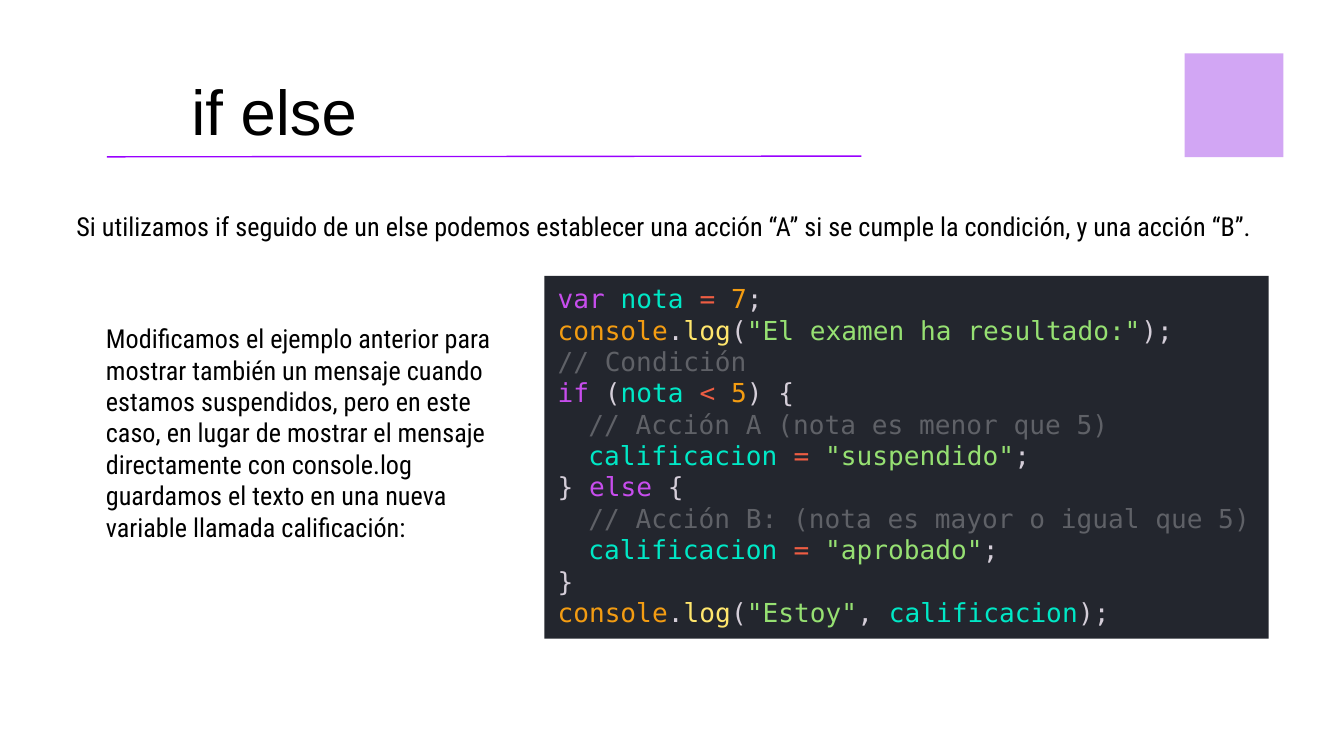
"""Builds the slide that explains if else with a code sample."""
from lxml import etree
from pptx import Presentation
from pptx import util as u
from pptx.dml.color import RGBColor
from pptx.enum import shapes, text
from pptx.oxml import ns

WIDE = u.Inches(10)
HIGH = u.Emu(WIDE * 9 // 16)
BODY, MONO = "Roboto Condensed", "DejaVu Sans Mono"

BLACK = RGBColor(0x00, 0x00, 0x00)
LILAC = RGBColor(0xD2, 0xA6, 0xF4)
VIOLET = RGBColor(0x99, 0x00, 0xFF)
NIGHT = RGBColor(0x23, 0x26, 0x2E)
KEY = RGBColor(0xC7, 0x4D, 0xED)
NAME = RGBColor(0x00, 0xE8, 0xC6)
SIGN = RGBColor(0xEE, 0x5D, 0x43)
GOLD = RGBColor(0xF3, 0x9C, 0x12)
PLAIN = RGBColor(0xD5, 0xCE, 0xD9)
CALL = RGBColor(0xFF, 0xE6, 0x6D)
QUOTE = RGBColor(0x96, 0xE0, 0x72)
NOTE = RGBColor(0x5F, 0x61, 0x67)

INTRO = ("Si utilizamos if seguido de un else podemos establecer una acción “A” "
         "si se cumple la condición, y una acción “B”.")
TASK = ("Modificamos el ejemplo anterior para mostrar también un mensaje cuando "
        "estamos suspendidos, pero en este caso, en lugar de mostrar el mensaje "
        "directamente con console.log guardamos el texto en una nueva variable "
        "llamada calificación:")

LOG = [("console", GOLD), (".", PLAIN), ("log", CALL), ("(", PLAIN)]


def grade(word):
    """Return the code runs that store a grade."""
    return [("calificacion ", NAME), ("= ", SIGN), (f'"{word}"', QUOTE), (";", PLAIN)]


CODE = [
    (0, [("var ", KEY), ("nota ", NAME), ("= ", SIGN), ("7", GOLD), (";", PLAIN)]),
    (0, LOG + [('"El examen ha resultado:"', QUOTE), (");", PLAIN)]),
    (0, [("// Condición", NOTE)]),
    (0, [("if", KEY), (" (", PLAIN), ("nota ", NAME), ("< ", SIGN), ("5", GOLD),
         (") {", PLAIN)]),
    (1, [("// Acción A (nota es menor que 5)", NOTE)]),
    (1, grade("suspendido")),
    (0, [("} ", PLAIN), ("else", KEY), (" {", PLAIN)]),
    (1, [("// Acción B: (nota es mayor o igual que 5)", NOTE)]),
    (1, grade("aprobado")),
    (0, [("}", PLAIN)]),
    (0, LOG + [('"Estoy"', QUOTE), (", ", PLAIN), ("calificacion", NAME), (");", PLAIN)]),
]


def place(left, top, width, height):
    """Turn percent shares of the slide into lengths."""
    return (int(WIDE * left / 100), int(HIGH * top / 100),
            int(WIDE * width / 100), int(HIGH * height / 100))


def write(shape, lines, font=BODY, size=14, space=1.0, pad=0.1,
          anchor=text.MSO_ANCHOR.TOP, fit=text.MSO_AUTO_SIZE.NONE):
    """Fill a shape with lines, each an indent step and its coloured runs."""
    frame = shape.text_frame
    frame.word_wrap, frame.auto_size, frame.vertical_anchor = True, fit, anchor
    frame.margin_left = frame.margin_right = u.Inches(0.1)
    frame.margin_top = frame.margin_bottom = u.Inches(pad)
    for i, (step, runs) in enumerate(lines):
        para = frame.add_paragraph() if i else frame.paragraphs[0]
        para.alignment, para.line_spacing = text.PP_ALIGN.LEFT, space
        if step:
            para._p.get_or_add_pPr().set("marL", str(step * u.Inches(0.23)))
        for words, tint in runs:
            run = para.add_run()
            run.text = words
            run.font.name, run.font.size = font, u.Pt(size)
            run.font.color.rgb = tint


def label(slide, spot, words, **look):
    """Add a text box with one black paragraph."""
    write(slide.shapes.add_textbox(*place(*spot)), [(0, [(words, BLACK)])], **look)


def block(slide, spot, tint):
    """Add a plain filled rectangle."""
    shape = slide.shapes.add_shape(shapes.MSO_SHAPE.RECTANGLE, *place(*spot))
    shape.shadow.inherit = False
    shape.fill.solid()
    shape.fill.fore_color.rgb = tint
    shape.line.fill.background()
    return shape


def rule(slide, ends, tint, width):
    """Add a straight line without a shadow."""
    line = slide.shapes.add_connector(shapes.MSO_CONNECTOR.STRAIGHT, *place(*ends))
    line.line.color.rgb, line.line.width = tint, u.Pt(width)
    etree.SubElement(line._element.spPr, ns.qn("a:effectLst"))


def main():
    """Build and save the slide."""
    deck = Presentation()
    deck.slide_width, deck.slide_height = WIDE, HIGH
    slide = deck.slides.add_slide(deck.slide_layouts[6])
    block(slide, (88.15, 7.05, 7.35, 13.75), LILAC)
    label(slide, (4.7, 25.45, 90.6, 64.5), INTRO, space=1.15)
    label(slide, (6.9, 40.9, 32, 32.9), TASK, fit=text.MSO_AUTO_SIZE.SHAPE_TO_FIT_TEXT)
    panel = block(slide, (40.5, 36.5, 53.9, 48), NIGHT)
    write(panel, CODE, font=MONO, pad=0.05)
    rule(slide, (7.95, 20.75, 64.1, 20.65), VIOLET, 0.75)
    label(slide, (13.25, 9.1, 88, 12.25), "if else", font="Arial", size=34,
          space=0.8, anchor=text.MSO_ANCHOR.BOTTOM)
    deck.save("out.pptx")


if __name__ == "__main__":
    main()
